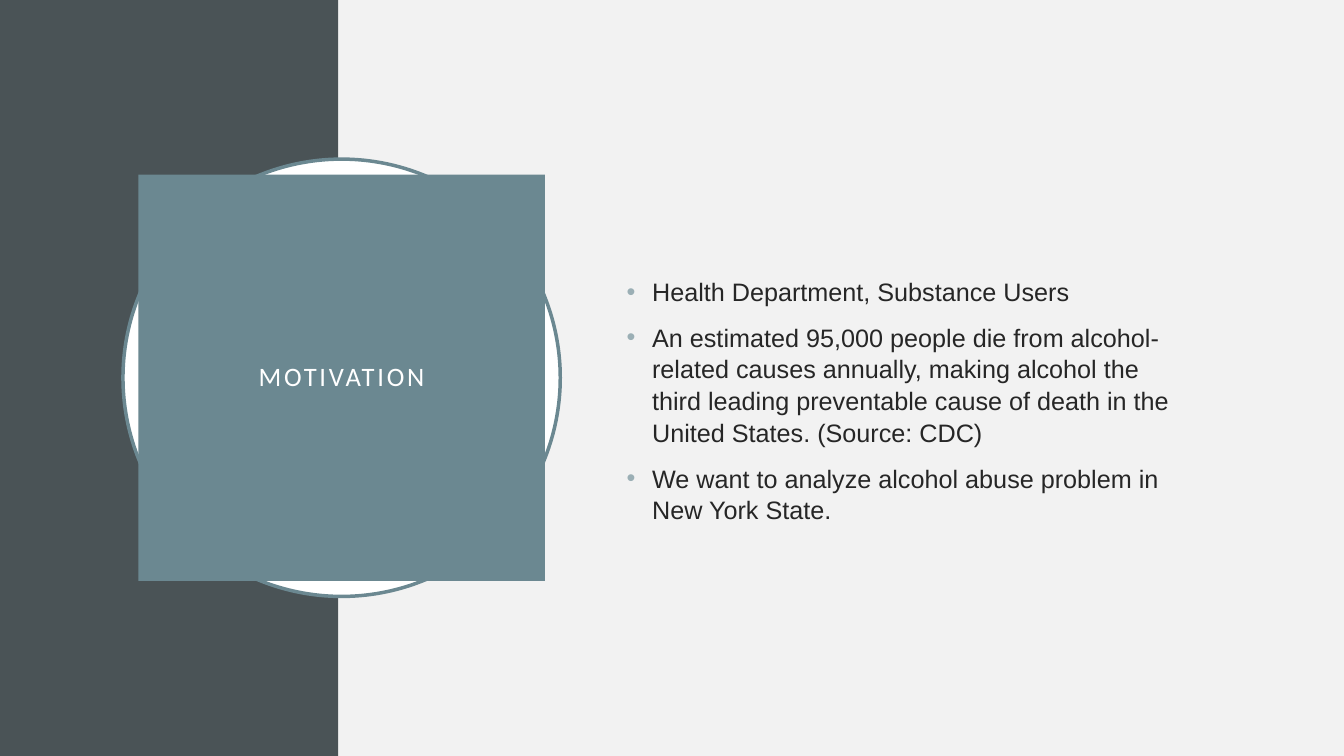
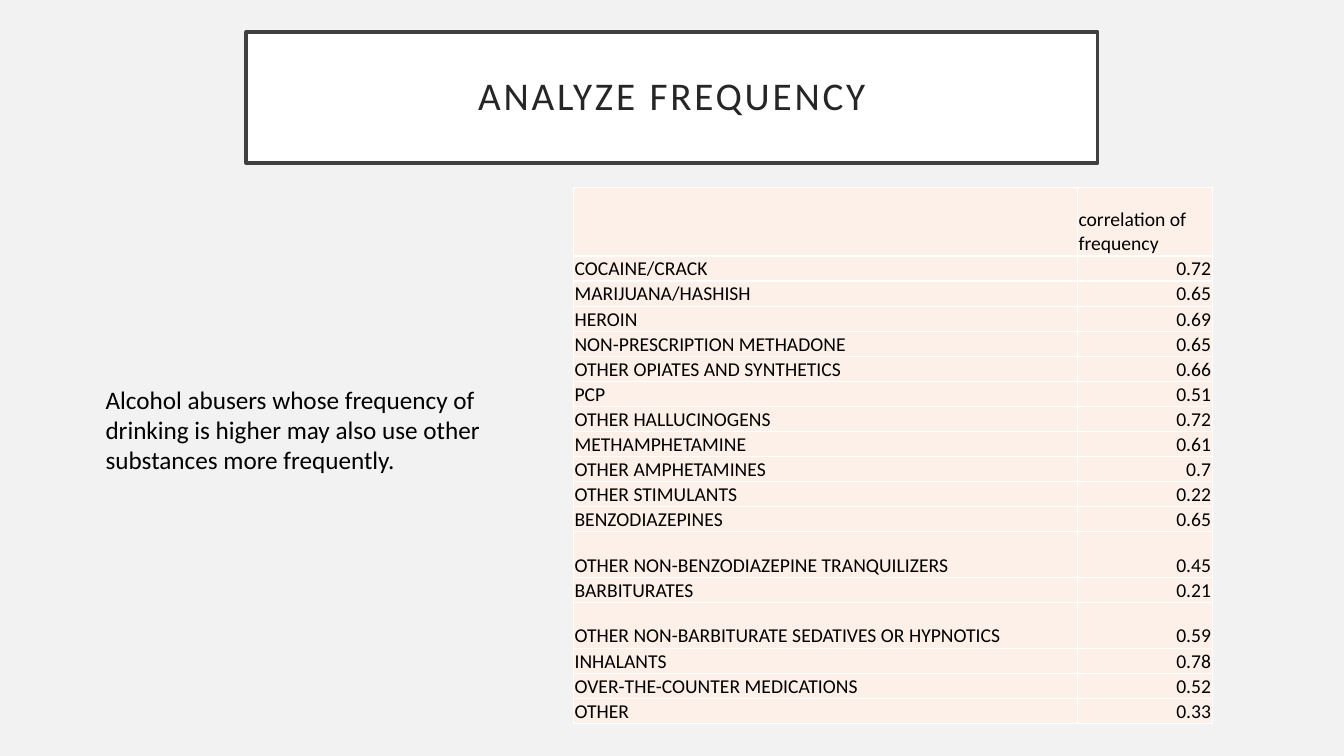
from dataclasses import dataclass

from pptx import Presentation
from pptx import util as u
from pptx.dml.color import RGBColor
from pptx.enum import shapes, text
from pptx.oxml import parse_xml
from pptx.oxml.ns import nsdecls

MOTIVATION = {
    "title": "MOTIVATION",
    "points": [
        "Health Department, Substance Users",
        "An estimated 95,000\u00a0people die from alcohol-related causes annually, "
        "making alcohol the third leading preventable cause of death in the "
        "United States.\u00a0(Source: CDC)",
        "We want to analyze alcohol abuse problem in New York State.",
    ],
}
FREQUENCY = {
    "title": "ANALYZE FREQUENCY",
    "finding": "Alcohol abusers whose frequency of drinking is higher may also "
               "use other substances more frequently.",
    "header": ("", "correlation of frequency"),
    "correlations": [
        ("COCAINE/CRACK", 0.72),
        ("MARIJUANA/HASHISH", 0.65),
        ("HEROIN", 0.69),
        ("NON-PRESCRIPTION METHADONE", 0.65),
        ("OTHER OPIATES AND SYNTHETICS", 0.66),
        ("PCP", 0.51),
        ("OTHER HALLUCINOGENS", 0.72),
        ("METHAMPHETAMINE", 0.61),
        ("OTHER AMPHETAMINES", 0.7),
        ("OTHER STIMULANTS", 0.22),
        ("BENZODIAZEPINES", 0.65),
        ("OTHER NON-BENZODIAZEPINE TRANQUILIZERS", 0.45),
        ("BARBITURATES", 0.21),
        ("OTHER NON-BARBITURATE SEDATIVES OR HYPNOTICS", 0.59),
        ("INHALANTS", 0.78),
        ("OVER-THE-COUNTER MEDICATIONS", 0.52),
        ("OTHER", 0.33),
    ],
}


@dataclass(frozen=True)
class Theme:
    """Colours, fonts and type sizes of the deck."""
    paper: str = "F2F2F2"
    slate: str = "4A5356"
    teal: str = "6B8891"
    bullet: str = "9BAFB5"
    ink: str = "262626"
    frame: str = "404040"
    white: str = "FFFFFF"
    black: str = "000000"
    peach: str = "FDF0E8"
    heading_font: str = "Calibri"
    list_font: str = "Arial"
    badge_size: int = 19
    title_size: int = 28
    text_size: int = 18
    table_size: int = 14
    outline: float = 2.5


THEME = Theme()
WIDTH, HEIGHT = 33.87, 19.05
PANEL_WIDTH = 8.53
BADGE_CENTRE = (8.61, 9.52)
RING_SIZE, BADGE_SIZE = 11.02, 10.24
TITLE_WIDTH = 21.46
COLUMNS = (12.7, 3.4)
HEADER_ROW, SHORT_ROW, TALL_ROW = 1.73, 0.62, 1.15
TALL_LABEL = 36


def assign(target, **values):
    """Set several attributes of one object."""
    for key, value in values.items():
        setattr(target, key, value)


def place(shape, left, top, width, height):
    """Position a shape, in centimetres."""
    box = dict(left=left, top=top, width=width, height=height)
    assign(shape, **{side: u.Cm(length) for side, length in box.items()})


def centred(size):
    """Return the box of a square part around the badge centre."""
    x, y = BADGE_CENTRE
    return x - size / 2, y - size / 2, size, size


def paint(shape, fill, line=None):
    """Fill a shape and give it an outline or none."""
    shape.fill.solid()
    shape.fill.fore_color.rgb = RGBColor.from_string(fill)
    if line:
        shape.line.color.rgb = RGBColor.from_string(line)
        shape.line.width = u.Pt(THEME.outline)
    else:
        shape.line.fill.background()


def add_panel(slide, kind, box, fill, line=None):
    """Add a decorative shape without shadow."""
    panel = slide.shapes.add_shape(kind, *map(u.Cm, box))
    panel.shadow.inherit = False
    paint(panel, fill, line)


def write(paragraph, words, font, size, color, align=text.PP_ALIGN.LEFT):
    """Write one formatted run into a paragraph and return it."""
    run = paragraph.add_run()
    run.text = words
    assign(run.font, name=font, size=u.Pt(size), bold=False)
    run.font.color.rgb = RGBColor.from_string(color)
    paragraph.alignment = align
    return run


def style_title(slide, words, box, size, color, fill, line=None):
    """Turn the title placeholder into the spaced, boxed heading."""
    title = slide.shapes.title
    place(title, *box)
    paint(title, fill, line)
    inset = u.Cm(0.5)
    assign(title.text_frame, word_wrap=True, auto_size=text.MSO_AUTO_SIZE.NONE,
           vertical_anchor=text.MSO_ANCHOR.MIDDLE, margin_left=inset,
           margin_right=inset, margin_top=inset, margin_bottom=inset)
    heading = title.text_frame.paragraphs[0]
    heading.line_spacing = 0.9
    run = write(heading, words, THEME.heading_font, size, color,
                text.PP_ALIGN.CENTER)
    run._r.get_or_add_rPr().set("spc", "200")


def add_bullet(paragraph):
    """Give a paragraph a hanging, coloured bullet."""
    props = paragraph._p.get_or_add_pPr()
    props.set("marL", str(u.Cm(0.64)))
    props.set("indent", str(-u.Cm(0.64)))
    for xml in (f'<a:buClr {nsdecls("a")}><a:srgbClr val="{THEME.bullet}"/></a:buClr>',
                f'<a:buFont {nsdecls("a")} typeface="{THEME.list_font}"/>',
                f'<a:buChar {nsdecls("a")} char="\u2022"/>'):
        props.append(parse_xml(xml))


def fill_cell(cell, words, align):
    """Format one table cell with thin white borders."""
    props = cell._tc.get_or_add_tcPr()
    for side in "LRTB":
        props.append(parse_xml(
            f'<a:ln{side} {nsdecls("a")} w="{u.Pt(1)}"><a:solidFill>'
            f'<a:srgbClr val="{THEME.white}"/></a:solidFill></a:ln{side}>'))
    cell.fill.solid()
    cell.fill.fore_color.rgb = RGBColor.from_string(THEME.peach)
    inset = u.Cm(0.03)
    assign(cell, vertical_anchor=text.MSO_ANCHOR.BOTTOM, margin_left=inset,
           margin_right=inset, margin_top=inset, margin_bottom=0)
    if words:
        write(cell.text_frame.paragraphs[0], words, THEME.heading_font,
              THEME.table_size, THEME.black, align)


def add_correlations(slide, header, correlations):
    """Add the correlation table; long labels get a taller row."""
    rows = [header, *correlations]
    heights = [HEADER_ROW] + [TALL_ROW if len(label) > TALL_LABEL else SHORT_ROW
                              for label, _ in correlations]
    table = slide.shapes.add_table(
        len(rows), len(COLUMNS), u.Cm(14.45), u.Cm(4.72),
        u.Cm(sum(COLUMNS)), u.Cm(sum(heights))).table
    assign(table, first_row=False, horz_banding=False)
    for column, width in zip(table.columns, COLUMNS):
        column.width = u.Cm(width)
    for row, height, values in zip(table.rows, heights, rows):
        row.height = u.Cm(height)
        for cell, value in zip(row.cells, values):
            align = (text.PP_ALIGN.RIGHT if isinstance(value, float)
                     else text.PP_ALIGN.LEFT)
            fill_cell(cell, str(value), align)


def build_motivation(deck, content):
    """Build the slide with the side panel, badge and list."""
    slide = deck.slides.add_slide(deck.slide_layouts[1])
    title, points = slide.shapes.title, slide.placeholders[1]
    kinds = shapes.MSO_SHAPE
    add_panel(slide, kinds.RECTANGLE, (0, 0, PANEL_WIDTH, HEIGHT), THEME.slate)
    add_panel(slide, kinds.RECTANGLE,
              (PANEL_WIDTH, 0, WIDTH - PANEL_WIDTH, HEIGHT), THEME.paper)
    add_panel(slide, kinds.OVAL, centred(RING_SIZE), THEME.white, THEME.teal)
    for front in (title, points):
        slide.shapes._spTree.append(front._element)

    style_title(slide, content["title"], centred(BADGE_SIZE),
                THEME.badge_size, THEME.white, THEME.teal)
    place(points, 15.54, 3.89, 14.78, 11.25)
    frame = points.text_frame
    assign(frame, word_wrap=True, auto_size=text.MSO_AUTO_SIZE.NONE,
           vertical_anchor=text.MSO_ANCHOR.MIDDLE, margin_top=u.Cm(1.25))
    for index, point in enumerate(content["points"]):
        paragraph = frame.add_paragraph() if index else frame.paragraphs[0]
        assign(paragraph, space_before=u.Pt(10), line_spacing=1.05)
        add_bullet(paragraph)
        write(paragraph, point, THEME.list_font, THEME.text_size, THEME.ink)


def build_frequency(deck, content):
    """Build the slide with the finding and the correlation table."""
    slide = deck.slides.add_slide(deck.slide_layouts[5])
    style_title(slide, content["title"],
                ((WIDTH - TITLE_WIDTH) / 2, 0.81, TITLE_WIDTH, 3.3),
                THEME.title_size, THEME.ink, THEME.white, THEME.frame)
    add_correlations(slide, content["header"], content["correlations"])
    finding = slide.shapes.add_textbox(*map(u.Cm, (2.41, 9.55, 10.34, 2.59)))
    finding.text_frame.word_wrap = True
    write(finding.text_frame.paragraphs[0], content["finding"],
          THEME.heading_font, THEME.text_size, THEME.black)


def main():
    """Build and save the deck."""
    deck = Presentation()
    assign(deck, slide_width=u.Cm(WIDTH), slide_height=u.Cm(HEIGHT))
    backdrop = deck.slide_master.background.fill
    backdrop.solid()
    backdrop.fore_color.rgb = RGBColor.from_string(THEME.paper)
    build_motivation(deck, MOTIVATION)
    build_frequency(deck, FREQUENCY)
    deck.save("out.pptx")


main()
